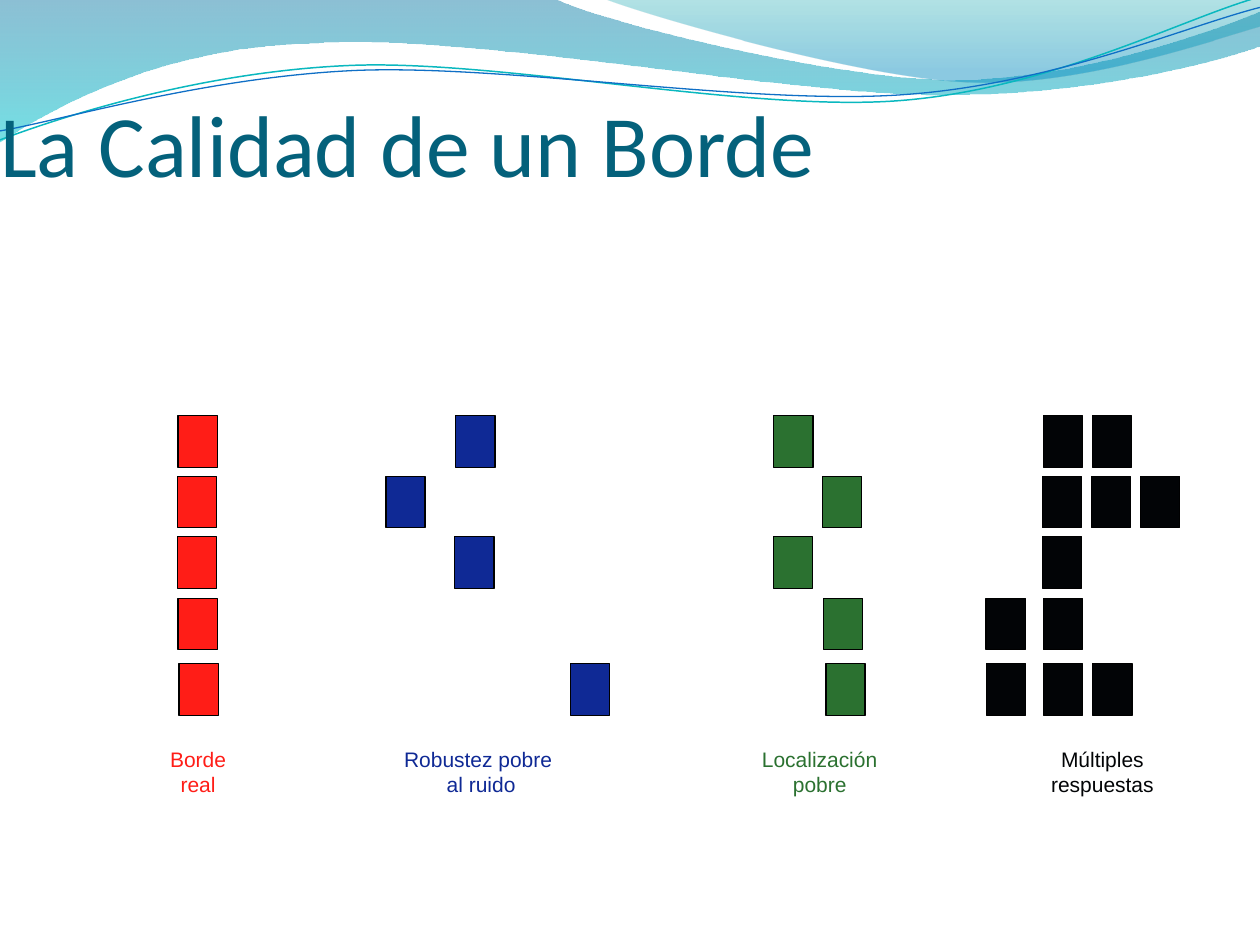
from math import cos, radians, sin

from lxml.etree import SubElement
from pptx import Presentation
from pptx.dml.color import RGBColor
from pptx.enum.shapes import MSO_SHAPE as Shape
from pptx.enum.text import MSO_ANCHOR as Anchor, MSO_AUTO_SIZE as AutoSize, PP_ALIGN as Align
from pptx.oxml.ns import qn
from pptx.util import Cm, Pt

COLORS = {
    "title": "04617B", "outline": "000000",
    "red": "FF1D17", "blue": "0F2995", "green": "2B7130", "black": "020406",
    "band_top": "0074A1", "band_bottom": "00C6CF",
    "corner_top": "00A1A9", "corner_bottom": "008BBF",
    "teal_line": "0AB8BF", "blue_line": "0F6FC6",
}
TITLE = "La Calidad de un Borde"

# Lengths in cm. After the start point, one point is a line and three are a curve.
BAND = [
    [(0, 0)], [(11.18, -0.03)],
    [(12.09, 0.43), (16.87, 1.6), (19.25, 1.6)],
    [(21.67, 1.6), (24.33, 0.66), (25.4, 0.23)],
    [(25.43, 0.91)],
    [(24.97, 1.12), (22.1, 1.93), (18.95, 1.91)],
    [(15.8, 1.91), (9.7, 0.71), (6.53, 0.86)],
    [(3.28, 0.91), (1.17, 2.11), (-0.03, 2.87)],
]
CORNER = [
    [(12.17, -0.03)],
    [(12.93, 0.28), (17.32, 1.57), (19.53, 1.65)],
    [(21.74, 1.75), (24.41, 0.81), (25.4, 0.53)],
    [(25.4, 0)],
]
TEAL_WAVE = [
    [(0, 2.82)],
    [(1.22, 2.36), (4.01, 1.45), (7.04, 1.32)],
    [(10.03, 1.19), (15.06, 2.26), (18.11, 2.03)],
    [(21.16, 1.8), (23.83, 0.38), (25.35, -0.05)],
]
BLUE_WAVE = [
    [(0, 2.64)],
    [(1.19, 2.44), (4.17, 1.55), (7.19, 1.42)],
    [(10.24, 1.3), (15.16, 2.13), (18.21, 1.91)],
    [(21.23, 1.7), (23.9, 0.53), (25.4, 0.15)],
]
# Gradient stops: position, colour, opacity in percent
FILLED_WAVES = [
    (BAND, [(0, "band_top", 45), (1, "band_bottom", 55)]),
    (CORNER, [(0, "corner_top", 30), (0.8, "corner_bottom", 45)]),
]
# Outline, centre of rotation, colour, width in points
LINE_WAVES = [
    (TEAL_WAVE, (12.67, 1.46), "teal_line", 0.85),
    (BLUE_WAVE, (12.69, 1.5), "blue_line", 0.75),
]
WAVE_ROTATION = -2.7

PIXEL_WIDTH, PIXEL_HEIGHT = 0.79, 1.04
ROW_TOPS = [8.38, 9.6, 10.82, 12.06, 13.38]
LABEL_TOP = 14.92
# Each edge: colour, left sides of the pixels row by row, label lines, label (left, width, height)
EDGES = [
    ("red", [[3.59], [3.58], [3.58], [3.59], [3.61]],
     ["Borde", "real"], (3.18, 1.63, 1.27)),
    ("blue", [[9.19], [7.78], [9.17], [], [11.5]],
     ["Robustez pobre ", "al ruido"], (7.11, 5.18, 1.78)),
    ("green", [[15.6], [16.58], [15.59], [16.6], [16.65]],
     ["Localización", "pobre"], (14.52, 4.01, 1.78)),
    ("black", [[21.03, 22.02], [21.01, 22, 22.99], [21.02], [19.88, 21.03], [19.89, 21.03, 22.03]],
     ["Múltiples", "respuestas"], (20.94, 2.57, 1.27)),
]


def color(name):
    return RGBColor.from_string(COLORS[name])


def rotate(outline, center, degrees):
    turn, (center_x, center_y) = radians(degrees), center
    return [
        [(center_x + (x - center_x) * cos(turn) - (y - center_y) * sin(turn),
          center_y + (x - center_x) * sin(turn) + (y - center_y) * cos(turn)) for x, y in segment]
        for segment in outline
    ]


def add_wave(slide, outline, close):
    """Build the outline from its points, then join each three of a curve into one Bezier."""
    lengths = [(Cm(x), Cm(y)) for segment in outline for x, y in segment]
    builder = slide.shapes.build_freeform(*lengths[0])
    builder.add_line_segments(lengths[1:], close=close)
    wave = builder.convert_to_shape()
    wave.shadow.inherit = False
    lines = iter(list(wave._element.iter(qn("a:lnTo"))))
    for segment in outline[1:]:
        first, *others = [next(lines) for _ in segment]
        if others:
            curve = first.makeelement(qn("a:cubicBezTo"))
            first.addprevious(curve)
            for line in (first, *others):
                curve.append(line[0])
                line.getparent().remove(line)
    return wave


def fill_gradient(shape, stops):
    """Fill from top to bottom with partly transparent colours."""
    shape.fill.gradient()
    shape.fill.gradient_angle = 270
    for stop, (position, name, _) in zip(shape.fill.gradient_stops, stops):
        stop.position = position
        stop.color.rgb = color(name)
    gradient = shape._element.spPr.find(qn("a:gradFill"))
    for node, (_, _, opacity) in zip(gradient.iter(qn("a:srgbClr")), stops):
        SubElement(node, qn("a:alpha"), val=str(opacity * 1000))


def add_pixel(slide, left, top, name):
    pixel = slide.shapes.add_shape(
        Shape.RECTANGLE, Cm(left), Cm(top), Cm(PIXEL_WIDTH), Cm(PIXEL_HEIGHT))
    pixel.shadow.inherit = False
    pixel.fill.solid()
    pixel.fill.fore_color.rgb = color(name)
    pixel.line.color.rgb = color("outline")
    pixel.line.width = Pt(0.75)


def format_text(frame, font_name, size, name, align):
    for para in frame.paragraphs:
        para.alignment = align
        for span in para.runs:
            span.font.name = font_name
            span.font.size = Pt(size)
            span.font.color.rgb = color(name)


def add_label(slide, lines, left, width, height, name):
    box = slide.shapes.add_textbox(Cm(left), Cm(LABEL_TOP), Cm(width), Cm(height))
    frame = box.text_frame
    frame.text = "\n".join(lines)
    frame.word_wrap = False
    frame.auto_size = AutoSize.SHAPE_TO_FIT_TEXT
    format_text(frame, "Arial", 12, name, Align.CENTER)


def place_title(slide):
    title = slide.shapes.title
    title.left, title.top, title.width, title.height = Cm(0), Cm(0.76), Cm(22.86), Cm(3.18)
    frame = title.text_frame
    frame.text = TITLE
    frame.auto_size = AutoSize.NONE
    frame.vertical_anchor = Anchor.BOTTOM
    frame.margin_left = frame.margin_right = frame.margin_bottom = 0
    format_text(frame, "Calibri", 50, "title", Align.LEFT)
    slide.shapes._spTree.append(title._element)  # in front of the waves


def main():
    deck = Presentation()
    deck.slide_width, deck.slide_height = Cm(25.4), Cm(19.05)
    slide = deck.slides.add_slide(deck.slide_layouts[5])
    for outline, stops in FILLED_WAVES:
        wave = add_wave(slide, outline, close=True)
        fill_gradient(wave, stops)
        wave.line.fill.background()
    for outline, center, name, width in LINE_WAVES:
        wave = add_wave(slide, rotate(outline, center, -WAVE_ROTATION), close=False)
        wave.rotation = WAVE_ROTATION
        wave.fill.background()
        wave.line.color.rgb = color(name)
        wave.line.width = Pt(width)
    place_title(slide)
    for name, rows, lines, label_place in EDGES:
        for top, lefts in zip(ROW_TOPS, rows):
            for left in lefts:
                add_pixel(slide, left, top, name)
        add_label(slide, lines, *label_place, name)
    deck.save("out.pptx")


if __name__ == "__main__":
    main()
